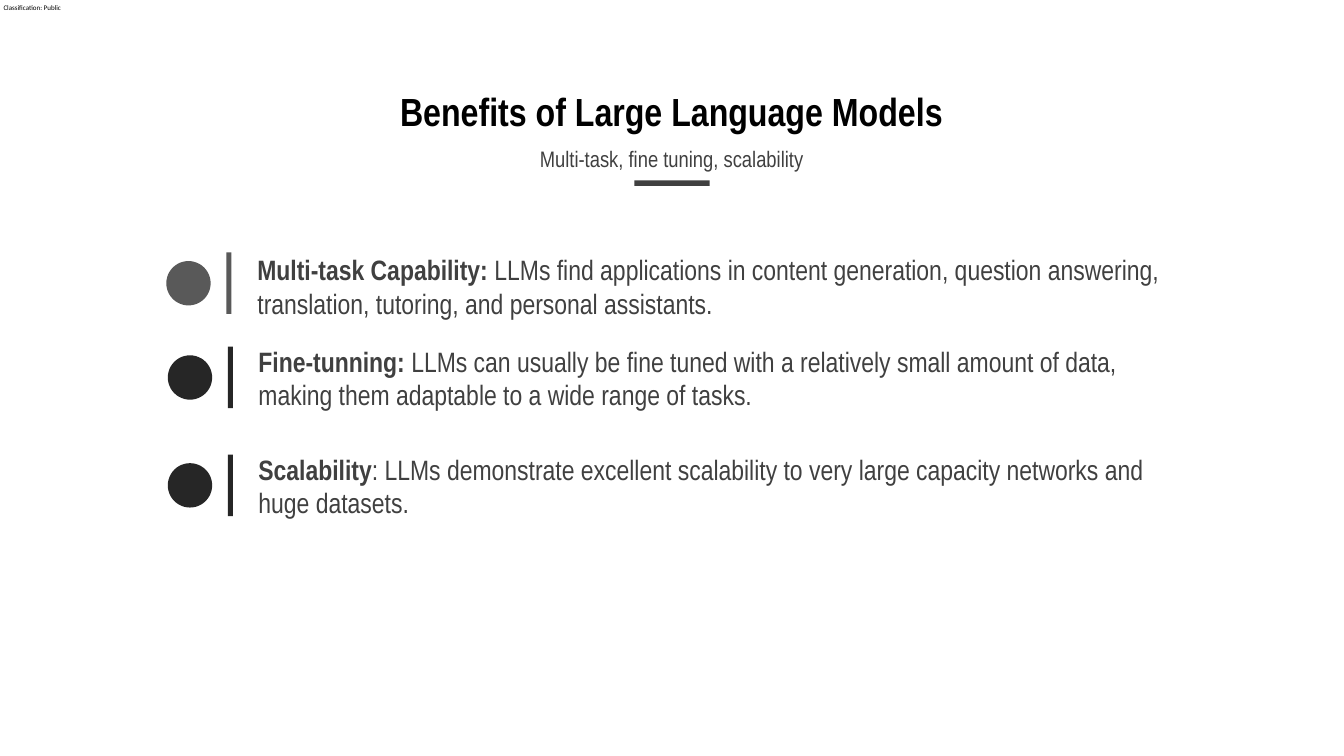
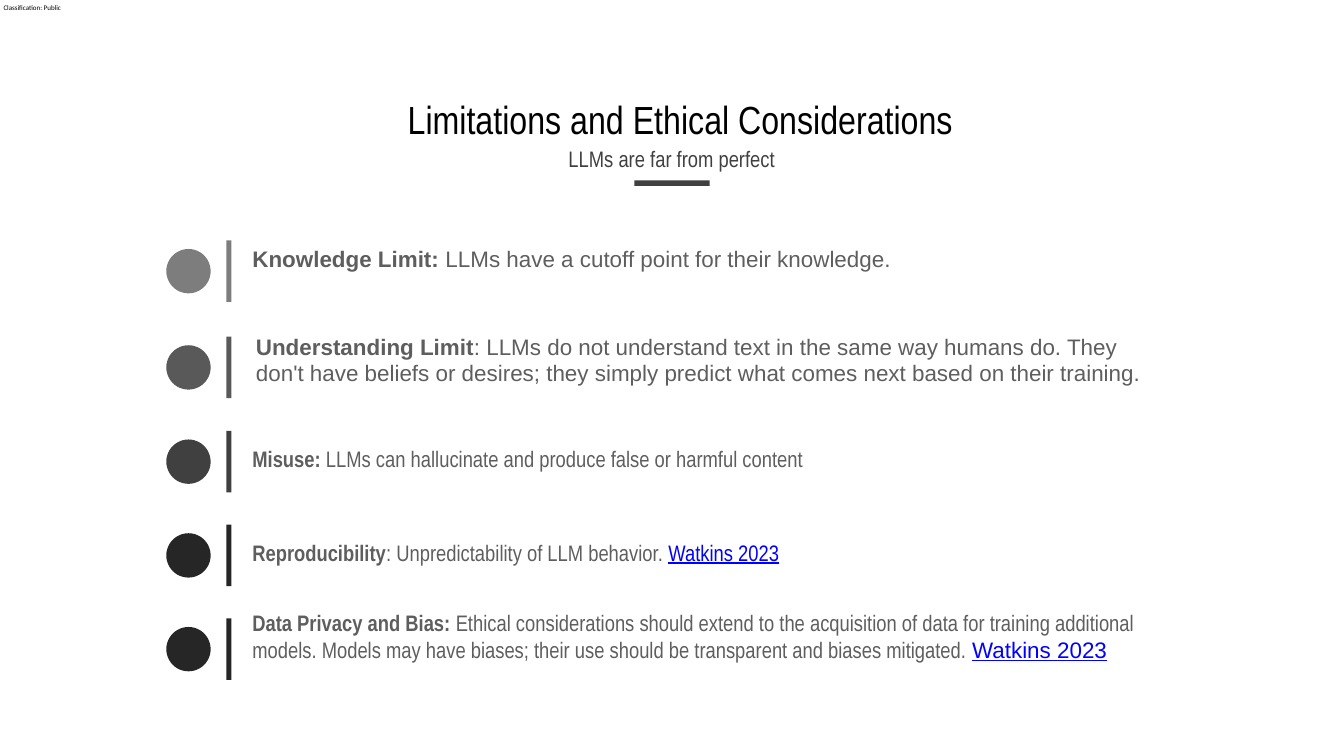
import pptx
import pptx.util
import pptx.dml.color
import pptx.enum.shapes
import pptx.enum.text

Inches = pptx.util.Inches
SHAPE = pptx.enum.shapes.MSO_SHAPE
ANCHOR = pptx.enum.text.MSO_ANCHOR
ALIGN = pptx.enum.text.PP_ALIGN

THEME = {
    "black": "000000", "dark": "262626", "deep": "404040", "mid": "595959",
    "light": "7D7D7D", "grey": "5E5E5E", "link": "0000FF",
    "narrow": "Arial Narrow", "wide": "Arial", "label": "Calibri",
    "title": 56, "large": 40, "small": 32, "tiny": 10,
}


def add_text(slide, at, runs, size, color, face="narrow", pad=0.1, wrap=True, center=False):
    """Add one paragraph; each run is (text, changes to the base font)."""
    box = slide.shapes.add_textbox(*map(Inches, at))
    frame = box.text_frame
    sides = ("margin_left", "margin_top", "margin_right", "margin_bottom")
    layout = {side: Inches(pad) for side in sides} | {"word_wrap": wrap}
    if center:
        layout["vertical_anchor"] = ANCHOR.MIDDLE
    for name, value in layout.items():
        setattr(frame, name, value)
    line = frame.paragraphs[0]
    if center:
        line.alignment = ALIGN.CENTER
        line.line_spacing = 0.9
    for text, style in runs:
        run = line.add_run()
        run.text = text
        look = {"name": THEME[face], "size": pptx.util.Pt(THEME[size])} | style
        tint = look.pop("color", color)
        for name, value in look.items():
            setattr(run.font, name, value)
        run.font.color.rgb = pptx.dml.color.RGBColor.from_string(THEME[tint])


def add_mark(slide, kind, at, color):
    mark = slide.shapes.add_shape(kind, *map(Inches, at))
    mark.shadow.inherit = False
    mark.fill.solid()
    mark.fill.fore_color.rgb = pptx.dml.color.RGBColor.from_string(THEME[color])
    mark.line.fill.background()


BOLD = {"bold": True}
LINK = {"color": "link", "underline": True}

# Each point: bar left, bar top, mark colour, text box (left, top, height), face, runs
BENEFITS = [
    (4.49, 5.01, "mid", (5.01, 4.91, 1.53), "narrow", [
        ("Multi-task Capability: ", BOLD),
        ("LLMs find applications in content generation, question answering, "
         "translation, tutoring, and personal assistants.", {})]),
    (4.52, 6.88, "dark", (5.03, 6.73, 1.53), "narrow", [
        ("Fine-tunning: ", BOLD),
        ("LLMs can usually be fine tuned with a relatively small amount of data, "
         "making them adaptable to a wide range of tasks.", {})]),
    (4.52, 9.02, "dark", (5.03, 8.87, 1.53), "narrow", [
        ("Scalability", BOLD),
        (": LLMs demonstrate excellent scalability to very large capacity "
         "networks and huge datasets.", {})]),
]
LIMITS = [
    (4.49, 4.77, "light", (4.91, 4.76, 0.7), "wide", [
        ("Knowledge Limit: ", BOLD),
        ("LLMs have a cutoff point for their knowledge.", {})]),
    (4.49, 6.68, "mid", (4.98, 6.5, 1.73), "wide", [
        ("Understanding Limit", BOLD),
        (": LLMs do not understand text in the same way humans do. "
         "They don't have beliefs or desires; they simply predict what comes next "
         "based on their training.", {})]),
    (4.49, 8.55, "deep", (4.91, 8.73, 1.39), "narrow", [
        ("Misuse: ", BOLD),
        ("LLMs can hallucinate and produce false or harmful content", {})]),
    (4.49, 10.41, "dark", (4.91, 10.59, 1.26), "narrow", [
        ("Reproducibility", BOLD),
        (": Unpredictability of LLM behavior. ", {}),
        ("Watkins 2023", LINK)]),
    (4.49, 12.27, "dark", (4.91, 11.98, 1.78), "narrow", [
        ("Data Privacy and Bias: ", BOLD),
        ("Ethical considerations should extend to the acquisition of data for "
         "training additional models. Models may have biases; their use should be "
         "transparent and biases mitigated. ", {}),
        ("Watkins 2023", LINK | {"name": THEME["wide"]})]),
]
SLIDES = [
    ("Benefits of Large Language Models", BOLD, (1.83, 1.58, 23, 1.34),
     "Multi-task, fine tuning, scalability", "large", "deep", BENEFITS),
    ("Limitations and Ethical Considerations", {}, (2, 1.74, 23, 1.34),
     "LLMs are far from perfect", "small", "grey", LIMITS),
]

deck = pptx.Presentation()
deck.slide_width = Inches(26.67)
deck.slide_height = Inches(15)

for title, weight, place, motto, size, color, points in SLIDES:
    slide = deck.slides.add_slide(deck.slide_layouts[6])
    add_text(slide, (0.07, 0.07, 1.17, 0.15), [("Classification: Public", {})],
             "tiny", "black", face="label", pad=0, wrap=False)
    add_text(slide, place, [(title, weight)], "title", "black", center=True)
    add_text(slide, (1.93, 2.81, 22.8, 0.75), [(motto, {})], "small", "deep", center=True)
    add_mark(slide, SHAPE.RECTANGLE, (12.59, 3.58, 1.49, 0.11), "deep")
    for left, top, shade, (text_left, text_top, height), face, runs in points:
        add_mark(slide, SHAPE.OVAL, (left - 1.19, top + 0.17, 0.88, 0.88), shade)
        add_mark(slide, SHAPE.RECTANGLE, (left, top, 0.1, 1.22), shade)
        add_text(slide, (text_left, text_top, 18.36, height), runs, size, color, face=face)

deck.save("out.pptx")
